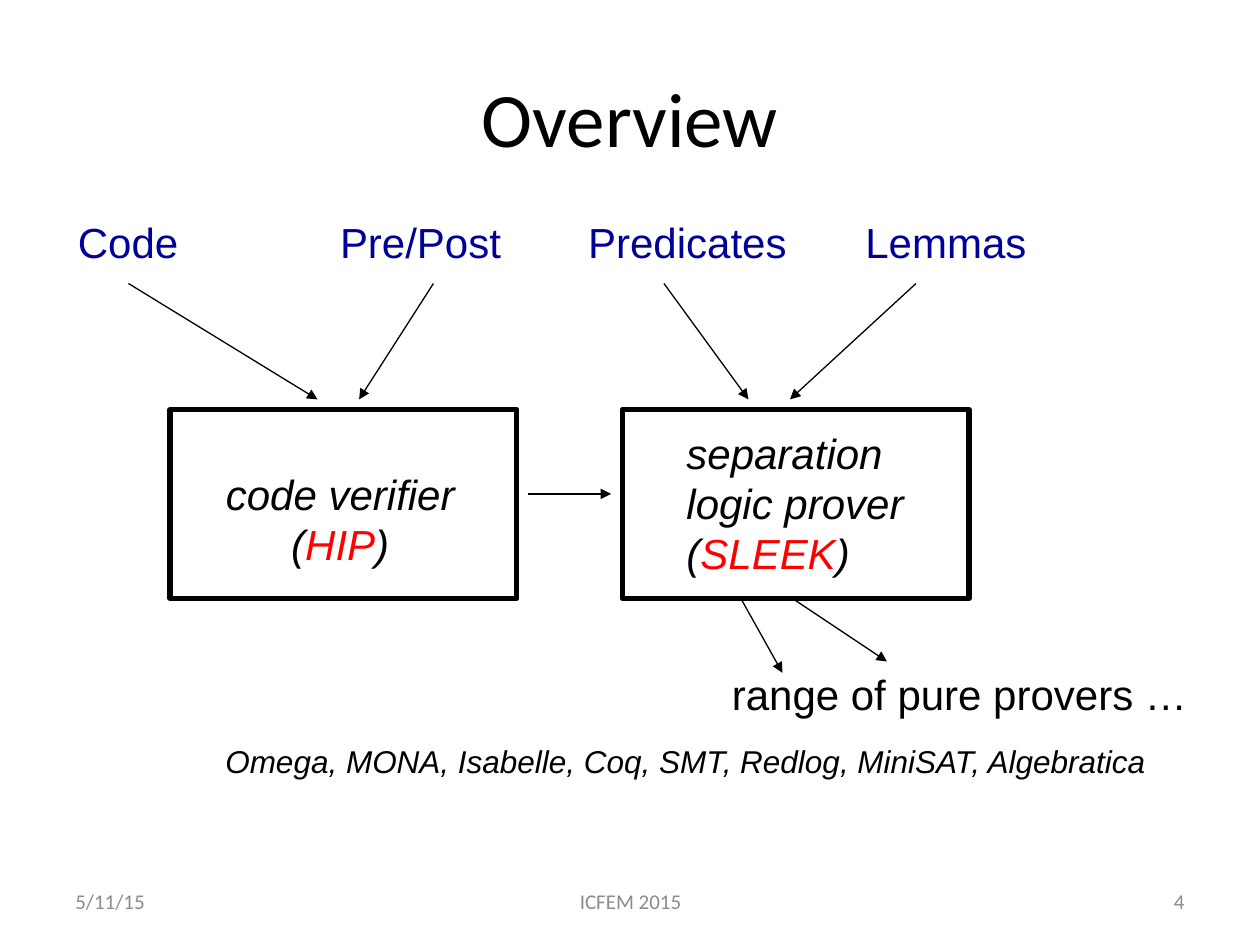
import pptx
import pptx.util
import pptx.dml.color
import pptx.enum.shapes
import pptx.enum.text
import pptx.oxml
import pptx.oxml.ns

Inches = pptx.util.Inches
Pt = pptx.util.Pt
ALIGN = {
    "l": pptx.enum.text.PP_ALIGN.LEFT,
    "c": pptx.enum.text.PP_ALIGN.CENTER,
    "r": pptx.enum.text.PP_ALIGN.RIGHT,
}
BLACK, NAVY, RED, GREY = "000000", "000099", "FF0000", "8C8C8C"


def color(code):
    return pptx.dml.color.RGBColor.from_string(code)


def run(text, **form):
    """A piece of text with its own format."""
    return text, form


class Sketch:
    def __init__(self, slide, font="Arial", size=24, ink=BLACK):
        self.slide, self.font, self.size, self.ink = slide, font, size, ink

    def text(self, at, lines, align="l", wrap=True, middle=False, **form):
        """Each line is a string or a list of runs."""
        box = self.slide.shapes.add_textbox(*map(Inches, at))
        frame = box.text_frame
        frame.word_wrap = wrap
        if middle:
            frame.vertical_anchor = pptx.enum.text.MSO_ANCHOR.MIDDLE
        for i, line in enumerate(lines):
            para = frame.paragraphs[0] if i == 0 else frame.add_paragraph()
            para.alignment = ALIGN[align]
            for words, own in [run(line)] if isinstance(line, str) else line:
                look = {**form, **own}
                part = para.add_run()
                part.text = words
                part.font.name = look.get("font", self.font)
                part.font.size = Pt(look.get("size", self.size))
                part.font.italic = look.get("italic", False)
                part.font.color.rgb = color(look.get("ink", self.ink))

    def frame(self, at, width=3):
        kind = pptx.enum.shapes.MSO_SHAPE.RECTANGLE
        box = self.slide.shapes.add_shape(kind, *map(Inches, at))
        box.shadow.inherit = False
        box.fill.background()
        box.line.color.rgb = color(self.ink)
        box.line.width = Pt(width)

    def arrow(self, start, end, width=0.75):
        kind = pptx.enum.shapes.MSO_CONNECTOR.STRAIGHT
        line = self.slide.shapes.add_connector(kind, *map(Inches, start + end))
        line.line.color.rgb = color(self.ink)
        line.line.width = Pt(width)
        props = line._element.spPr
        space = pptx.oxml.ns.nsdecls("a")
        tip = pptx.oxml.parse_xml(f'<a:tailEnd {space} type="triangle"/>')
        props.find(pptx.oxml.ns.qn("a:ln")).append(tip)
        props.append(pptx.oxml.parse_xml(f"<a:effectLst {space}/>"))


deck = pptx.Presentation()
deck.slide_width, deck.slide_height = Inches(10), Inches(7.5)
page = Sketch(deck.slides.add_slide(deck.slide_layouts[6]))

# Title
page.text((0.5, 0.3, 9, 1.25), ["Overview"], align="c", middle=True,
          font="Calibri", size=44)

# Inputs
for left, wide, name, align in [
    (0.52, 1, "Code", "l"),
    (2.6, 1.48, "Pre/Post", "l"),
    (4.56, 1.79, "Predicates", "c"),
    (6.77, 1.48, "Lemmas", "l"),
]:
    page.text((left, 1.67, wide, 0.5), [name], align=align, wrap=False,
              ink=NAVY)

# Tools
for left in (1.35, 4.94):
    page.frame((left, 3.25, 2.75, 1.5))


def tool(name):
    return [run("("), run(name, ink=RED), run(")")]


page.text((1.69, 3.67, 2.02, 0.9), ["code verifier", tool("HIP")],
          align="c", wrap=False, italic=True)
page.text((5.35, 3.34, 2, 1.3),
          ["separation", "logic prover", tool("SLEEK")], italic=True)

# Arrows from inputs to tools
for start, end in [(1.02, 2.52), (3.44, 2.85), (5.27, 5.94), (7.27, 6.27)]:
    page.arrow((start, 2.25), (end, 3.17))

# Arrows between tools and on to the provers
page.arrow((4.19, 3.92), (4.85, 3.92))
page.arrow((5.88, 4.75), (6.21, 5.34))
page.arrow((6.29, 4.75), (7.04, 5.25))

# Provers
page.text((5.71, 5.26, 3.82, 0.5), ["range of pure provers …"], wrap=False)
page.text((1.69, 5.84, 7.77, 0.4),
          ["Omega, MONA, Isabelle, Coq, SMT, Redlog, MiniSAT, Algebratica"],
          wrap=False, size=18, italic=True)

# Footer
for left, wide, words, align in [
    (0.5, 2.33, "5/11/15", "l"),
    (3.42, 3.17, "ICFEM 2015", "c"),
    (7.17, 2.33, "4", "r"),
]:
    page.text((left, 6.95, wide, 0.4), [words], align=align, middle=True,
              font="Calibri", size=12, ink=GREY)

deck.save("out.pptx")
